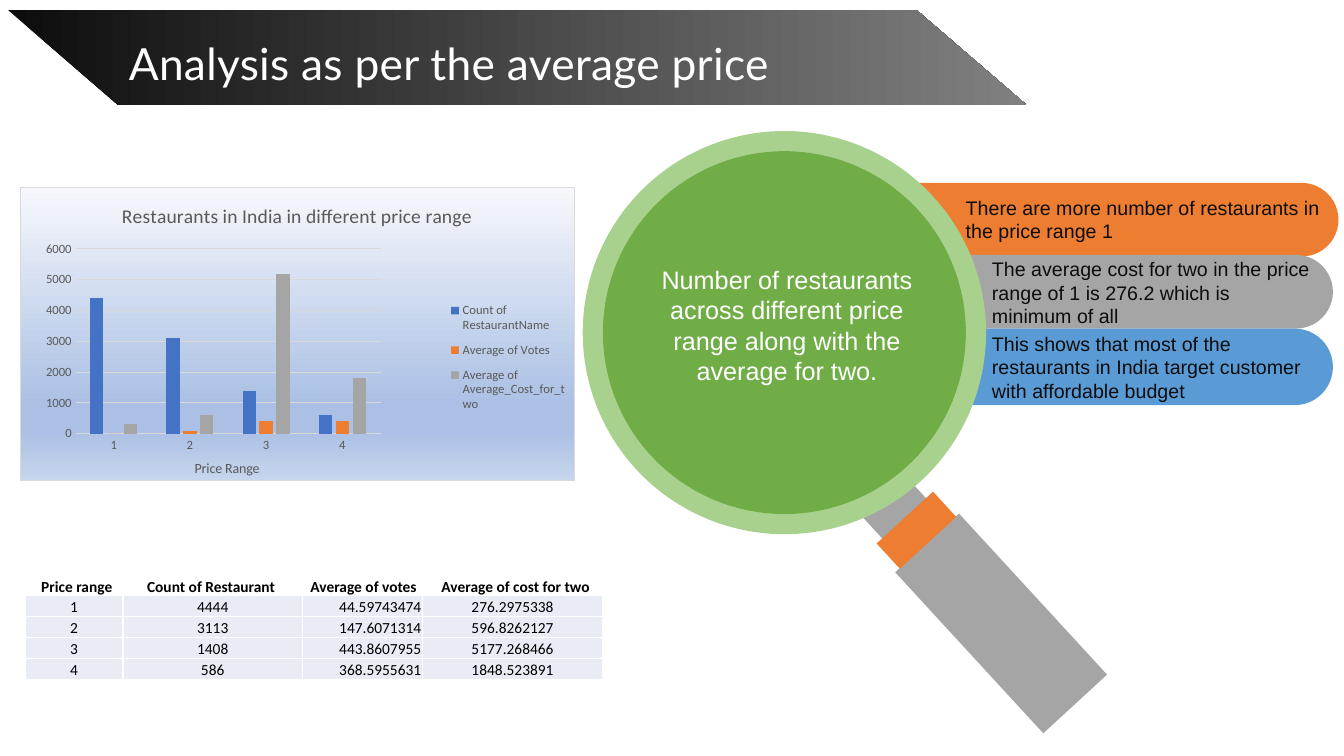
from lxml import etree
from pptx import Presentation
from pptx.chart.data import CategoryChartData
from pptx.dml.color import RGBColor
from pptx.enum.chart import XL_CHART_TYPE as Chart, XL_LEGEND_POSITION as Legend, XL_TICK_MARK as Tick
from pptx.enum.shapes import MSO_SHAPE as Preset
from pptx.enum.text import MSO_ANCHOR as Anchor, PP_ALIGN as Align
from pptx.oxml import parse_xml
from pptx.oxml.ns import nsdecls, qn
from pptx.util import Inches, Pt

ORANGE, GREY, BLUE = "ED7D31", "A5A5A5", "5B9BD5"
INK, MUTED, HAIRLINE, WHITE = "0D0D0D", "595959", "D9D9D9", "FFFFFF"
PRICE_ROWS = [
    ("1", "4444", "44.59743474", "276.2975338"),
    ("2", "3113", "147.6071314", "596.8262127"),
    ("3", "1408", "443.8607955", "5177.268466"),
    ("4", "586", "368.5955631", "1848.523891"),
]
SERIES = [
    ("Count of RestaurantName", "4472C4"),
    ("Average of Votes", ORANGE),
    ("Average of Average_Cost_for_two", GREY),
]
FINDINGS = [
    ((94.8, 18.9, 38.5, 5.7), "There are more number of restaurants in the price range 1"),
    ((97.4, 25, 33.8, 8.1),
     "The average cost for two in the price range of 1 is 276.2 which is minimum of all"),
    ((97.4, 32.4, 33.8, 8.1),
     "This shows that most of the restaurants in India target customer with affordable budget"),
]


def rgb(value):
    """Turn a hex string into a colour."""
    return RGBColor.from_string(value)


def cells(*counts):
    """Turn grid counts, ten to the inch, into lengths."""
    return [Inches(count / 10) for count in counts]


def style(font, size, color, name="Calibri", bold=False):
    """Set the face, size and colour of a font."""
    font.name, font.size, font.bold = name, Pt(size), bold
    font.color.rgb = rgb(color)


class SlideBuilder:
    """Draws styled elements on one slide laid over a tenth-inch grid."""

    def __init__(self, slide):
        """Keep the slide that receives the elements."""
        self.shapes = slide.shapes

    def banner(self, points, start, end):
        """Draw an outline filled with a left-to-right gradient."""
        corners = [tuple(cells(*point)) for point in points]
        builder = self.shapes.build_freeform(*corners[0])
        builder.add_line_segments(corners[1:])
        shape = builder.convert_to_shape()
        shape.shadow.inherit = False
        shape.fill.gradient()
        shape.fill.gradient_angle = 0
        for stop, color in zip(shape.fill.gradient_stops, (start, end)):
            stop.color.rgb = rgb(color)
        shape.line.fill.background()

    def shape(self, preset, place, color, rotation=0, adjustments=()):
        """Draw a plain filled preset shape."""
        shape = self.shapes.add_shape(preset, *cells(*place))
        shape.shadow.inherit = False
        shape.fill.solid()
        shape.fill.fore_color.rgb = rgb(color)
        shape.line.fill.background()
        shape.rotation = rotation
        for index, amount in enumerate(adjustments):
            shape.adjustments[index] = amount

    def text(self, place, words, size, color, name="Arial", bold=False,
             align=Align.LEFT, anchor=Anchor.TOP, inset=True, tabs=()):
        """Place one wrapped paragraph and return it."""
        frame = self.shapes.add_textbox(*cells(*place)).text_frame
        frame.word_wrap = True
        frame.vertical_anchor = anchor
        if not inset:
            frame.margin_left = frame.margin_right = frame.margin_top = frame.margin_bottom = 0
        para = frame.paragraphs[0]
        para.text = words
        para.alignment = align
        if tabs:
            stops = etree.SubElement(para._p.get_or_add_pPr(), qn("a:tabLst"))
            for position in cells(*tabs):
                etree.SubElement(stops, qn("a:tab"), pos=str(position), algn="l")
        style(para.font, size, color, name, bold)
        return para

    def table(self, place, widths, rows, fill):
        """Draw a plain table with white rules."""
        table = self.shapes.add_table(len(rows), len(widths), *cells(*place)).table
        table.first_row = table.horz_banding = False
        for column, width in zip(table.columns, cells(*widths)):
            column.width = width
        for row, values in zip(table.rows, rows):
            row.height = Inches(place[3] / 10 / len(rows))
            for index, (cell, value) in enumerate(zip(row.cells, values)):
                cell.margin_left = cell.margin_right = cell.margin_top = Inches(0.01)
                cell.margin_bottom = 0
                cell.vertical_anchor = Anchor.BOTTOM
                para = cell.text_frame.paragraphs[0]
                para.text = value
                para.alignment = Align.RIGHT if index == 2 else Align.CENTER
                style(para.font, 11, "000000")
                properties = cell._tc.get_or_add_tcPr()
                for side in ("lnL", "lnR", "lnT", "lnB"):
                    properties.append(parse_xml(
                        f'<a:{side} {nsdecls("a")} w="12700"><a:solidFill>'
                        f'<a:srgbClr val="{WHITE}"/></a:solidFill></a:{side}>'))
                cell.fill.solid()
                cell.fill.fore_color.rgb = rgb(fill)

    def chart(self, place, title, axis_title, rows, series, stops):
        """Draw a clustered column chart on a gradient panel."""
        data = CategoryChartData()
        data.categories = [row[0] for row in rows]
        for index, (name, _) in enumerate(series, 1):
            data.add_series(name, [int(round(float(row[index]), -2)) for row in rows])
        chart = self.shapes.add_chart(Chart.COLUMN_CLUSTERED, *cells(*place), data).chart
        style(chart.font, 10, "000000")
        plot = chart.plots[0]
        plot.gap_width, plot.overlap, plot.vary_by_categories = 219, -27, False
        for column, (_, color) in zip(plot.series, series):
            column.format.fill.solid()
            column.format.fill.fore_color.rgb = rgb(color)
        category, value = chart.category_axis, chart.value_axis
        for axis in (category, value):
            axis.major_tick_mark = axis.minor_tick_mark = Tick.NONE
            style(axis.tick_labels.font, 9, MUTED)
        value.format.line.fill.background()
        for line in (category.format.line, value.major_gridlines.format.line):
            line.color.rgb, line.width = rgb(HAIRLINE), Pt(0.75)
        for owner, words, size in ((chart, title, 14), (category, axis_title, 10)):
            heading = owner.chart_title if owner is chart else owner.axis_title
            para = heading.text_frame.paragraphs[0]
            para.text = words
            style(para.font, size, MUTED)
        chart.has_legend = True
        chart.legend.position = Legend.RIGHT
        chart.legend.include_in_layout = False
        style(chart.legend.font, 9, MUTED)
        self.panel(chart, stops)
        area = chart._chartSpace.find(".//" + qn("c:plotArea"))
        self.arrange(area, 0, (0.1, 0.21, 0.55, 0.63), '<c:layoutTarget val="inner"/>')
        self.arrange(category.axis_title._element, 1, (0.31, 0.92))
        self.arrange(chart.legend._element, 1, (0.77, 0.36, 0.22, 0.44))

    def panel(self, chart, stops):
        """Give a chart its vertical gradient and thin border."""
        marks = "".join(f'<a:gs pos="{share * 1000}"><a:srgbClr val="{color}"/></a:gs>'
                        for share, color in stops)
        chart.font._element.getparent().getparent().getparent().addprevious(parse_xml(
            f'<c:spPr {nsdecls("c", "a")}><a:gradFill><a:gsLst>{marks}</a:gsLst>'
            f'<a:lin ang="5400000" scaled="0"/></a:gradFill><a:ln w="9525"><a:solidFill>'
            f'<a:srgbClr val="{HAIRLINE}"/></a:solidFill></a:ln></c:spPr>'))

    def arrange(self, part, index, shares, target=""):
        """Place a part of a chart by shares of the chart's size."""
        for layout in part.findall(qn("c:layout")):
            part.remove(layout)
        sizes = "".join(f'<c:{key} val="{share}"/>' for key, share in zip("xywh", shares))
        part.insert(index, parse_xml(
            f'<c:layout {nsdecls("c")}><c:manualLayout>{target}'
            f'<c:xMode val="edge"/><c:yMode val="edge"/>{sizes}</c:manualLayout></c:layout>'))


def main():
    """Build the price range slide."""
    deck = Presentation()
    deck.slide_width, deck.slide_height = cells(133.3, 75)
    page = SlideBuilder(deck.slides.add_slide(deck.slide_layouts[6]))

    page.banner([(90.9, 1), (0.8, 1), (11.7, 10.4), (101.8, 10.4)], INK, "808080")
    title = page.text((10.6, 2.8, 67.9, 5.8), "Analysis as per the average price", 31.6,
                      WHITE, "Lato", align=Align.CENTER, inset=False)
    title.line_spacing = Pt(43.7)
    title.runs[0]._r.get_or_add_rPr().set("spc", "25")

    for place, color in (((95, 51, 8.6, 21.7), GREY), ((85.6, 48.5, 5.9, 3.4), GREY),
                         ((87.1, 50.9, 7.6, 3.4), ORANGE)):
        page.shape(Preset.RECTANGLE, place, color, 317.4)
    for place, color in (((107.6, 0.3, 7.3, 43), ORANGE), ((110.1, 10.5, 7.3, 36.9), GREY),
                         ((109.2, 17.2, 7.6, 38.4), BLUE)):
        page.shape(Preset.ROUND_2_SAME_RECTANGLE, place, color, 90, (0.5, 0))
    page.shape(Preset.OVAL, (57.8, 13, 40, 40), "A9D18E")
    page.shape(Preset.OVAL, (59.8, 15, 36, 36), "70AD47")
    page.text((62.7, 21.6, 30.7, 21.3),
              "Number of restaurants across different price range along with the average for two.",
              18, WHITE, align=Align.CENTER, anchor=Anchor.MIDDLE)
    for place, words in FINDINGS:
        page.text(place, words, 14, INK)

    page.chart((1.95, 18.55, 55.1, 29.2), "Restaurants in India in different price range",
               "Price Range", PRICE_ROWS, SERIES,
               [(0, "F6F8FC"), (74, "ABC0E4"), (83, "ABC0E4"), (100, "C7D5ED")])
    page.table((2.5, 59.1, 57.3, 8.3), (9.7, 17.8, 11.9, 17.9), PRICE_ROWS, "E9EBF5")
    page.text((3.1, 56.8, 62.1, 2.9),
              "Price range\tCount of Restaurant\tAverage of votes\tAverage of cost for two",
              11, "000000", "Calibri", True, tabs=(10.5, 26.7, 39.7))
    deck.save("out.pptx")


if __name__ == "__main__":
    main()
